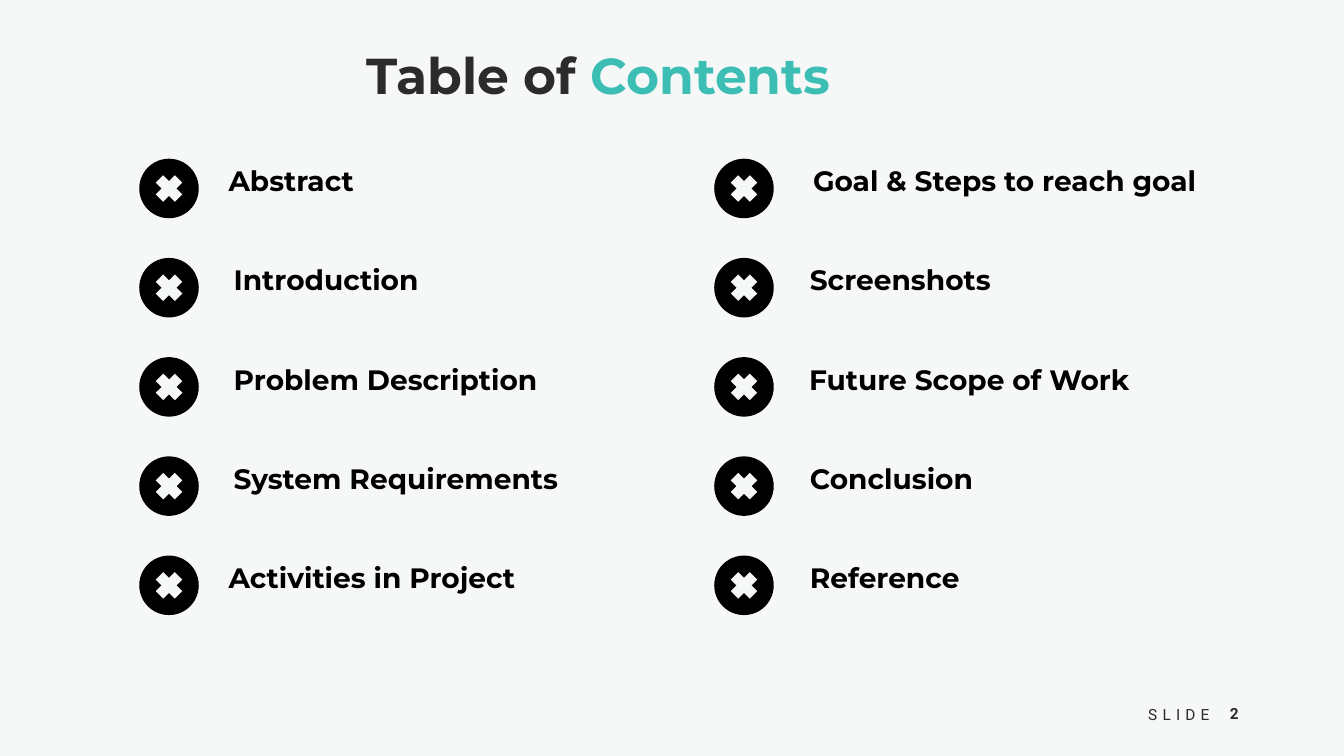
"""Build the table of contents slide."""
from lxml.etree import SubElement
from pptx import Presentation
from pptx.dml.color import RGBColor
from pptx.enum.shapes import MSO_CONNECTOR, MSO_SHAPE
from pptx.enum.text import MSO_ANCHOR, PP_ALIGN
from pptx.oxml.ns import qn
from pptx.util import Cm, Pt

COLORS = {
    "background": "F6F8F8",
    "ink": "2B2B2B",
    "accent": "3CBEB4",
    "black": "000000",
}
FIRST_TOP, ROW_STEP = 4, 2.5
MARKER_SIZE, CROSS_REACH = 1.5, 0.24
COLUMNS = [
    (3.51, [
        ("Abstract", 5.51, 8.48),
        ("Introduction", 5.64, 5.36),
        ("Problem Description", 5.64, 8.36),
        ("System Requirements", 5.64, 9.35),
        ("Activities in Project", 5.51, 8.36),
    ]),
    (18, [
        ("Goal & Steps to reach goal", 20.24, 13.61),
        ("Screenshots", 20.16, 13.34),
        ("Future Scope of Work", 20.14, 13.36),
        ("Conclusion", 20.16, 5.33),
        ("Reference", 20.16, 5.84),
    ]),
]


def rgb(name):
    return RGBColor.from_string(COLORS[name])


def add_text(slide, parts, left, top, width, height, size, font="Montserrat",
             bold=True, align=PP_ALIGN.LEFT, wrap=True, spacing=0):
    """Add one line of text made of (wording, color name) parts."""
    text_box = slide.shapes.add_textbox(Cm(left), Cm(top), Cm(width), Cm(height))
    text_box.text_frame.word_wrap = wrap
    paragraph = text_box.text_frame.paragraphs[0]
    paragraph.alignment = align
    paragraph.font.name = font
    paragraph.font.size = Pt(size)
    paragraph.font.bold = bold
    for wording, color in parts:
        run = paragraph.add_run()
        run.text = wording
        run.font.color.rgb = rgb(color)
        if spacing:
            run._r.get_or_add_rPr().set("spc", str(spacing))
    return text_box


def add_cross_line(group, start_x, start_y, end_x, end_y):
    """Add one thick stroke of a cross."""
    line = group.shapes.add_connector(
        MSO_CONNECTOR.STRAIGHT, Cm(start_x), Cm(start_y), Cm(end_x), Cm(end_y))
    line.line.color.rgb = rgb("background")
    line.line.width = Pt(7.5)
    SubElement(line._element.spPr, qn("a:effectLst"))


def add_marker(slide, left, top):
    """Add a black disc with a light cross as one group."""
    group = slide.shapes.add_group_shape()
    disc = group.shapes.add_shape(
        MSO_SHAPE.OVAL, Cm(left), Cm(top), Cm(MARKER_SIZE), Cm(MARKER_SIZE))
    disc.shadow.inherit = False
    disc.fill.solid()
    disc.fill.fore_color.rgb = rgb("black")
    disc.line.fill.background()
    center_x, center_y = left + MARKER_SIZE / 2, top + MARKER_SIZE / 2
    for reach in (CROSS_REACH, -CROSS_REACH):
        add_cross_line(group, center_x + CROSS_REACH, center_y - reach,
                       center_x - CROSS_REACH, center_y + reach)


def add_footer(slide):
    """Add the slide label and its number."""
    number = add_text(slide, [("2", "ink")], 30.51, 17.42, 1.19, 1.12, 11,
                      font="Roboto", align=PP_ALIGN.CENTER)
    number.text_frame.vertical_anchor = MSO_ANCHOR.MIDDLE
    add_text(slide, [("SLIDE", "ink")], 28.63, 17.65, 2.16, 0.71, 11, font="Roboto",
             bold=False, align=PP_ALIGN.CENTER, wrap=False, spacing=370)


def main():
    """Build and save the presentation."""
    presentation = Presentation()
    presentation.slide_width, presentation.slide_height = Cm(33.87), Cm(19.05)
    slide = presentation.slides.add_slide(presentation.slide_layouts[6])
    slide.background.fill.solid()
    slide.background.fill.fore_color.rgb = rgb("background")

    add_text(slide, [("Table of ", "ink"), ("Contents", "accent")],
             8.99, 0.99, 14.63, 2.03, 36)
    for marker_left, entries in COLUMNS:
        for row, (wording, text_left, width) in enumerate(entries):
            top = FIRST_TOP + row * ROW_STEP
            add_marker(slide, marker_left, top)
            add_text(slide, [(wording, "black")], text_left, top, width, 1.25, 20)
    add_footer(slide)
    presentation.save("out.pptx")


if __name__ == "__main__":
    main()
